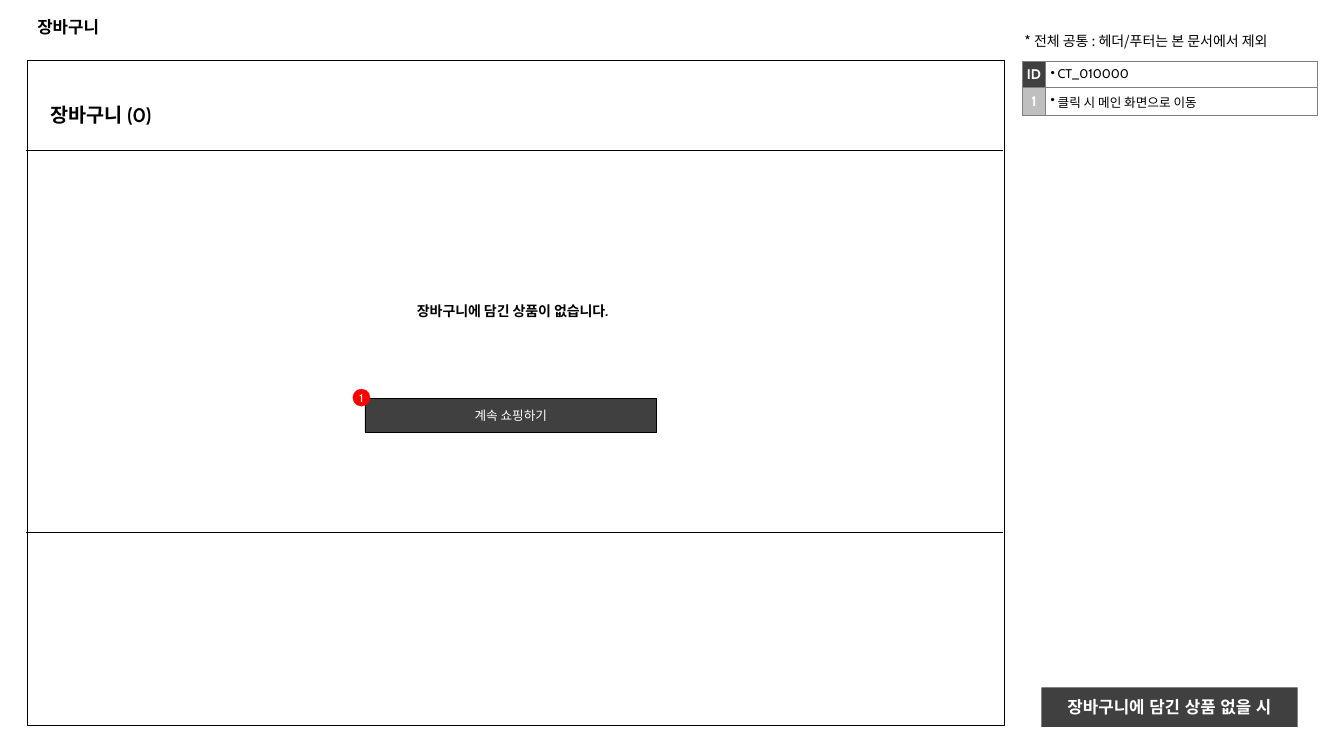
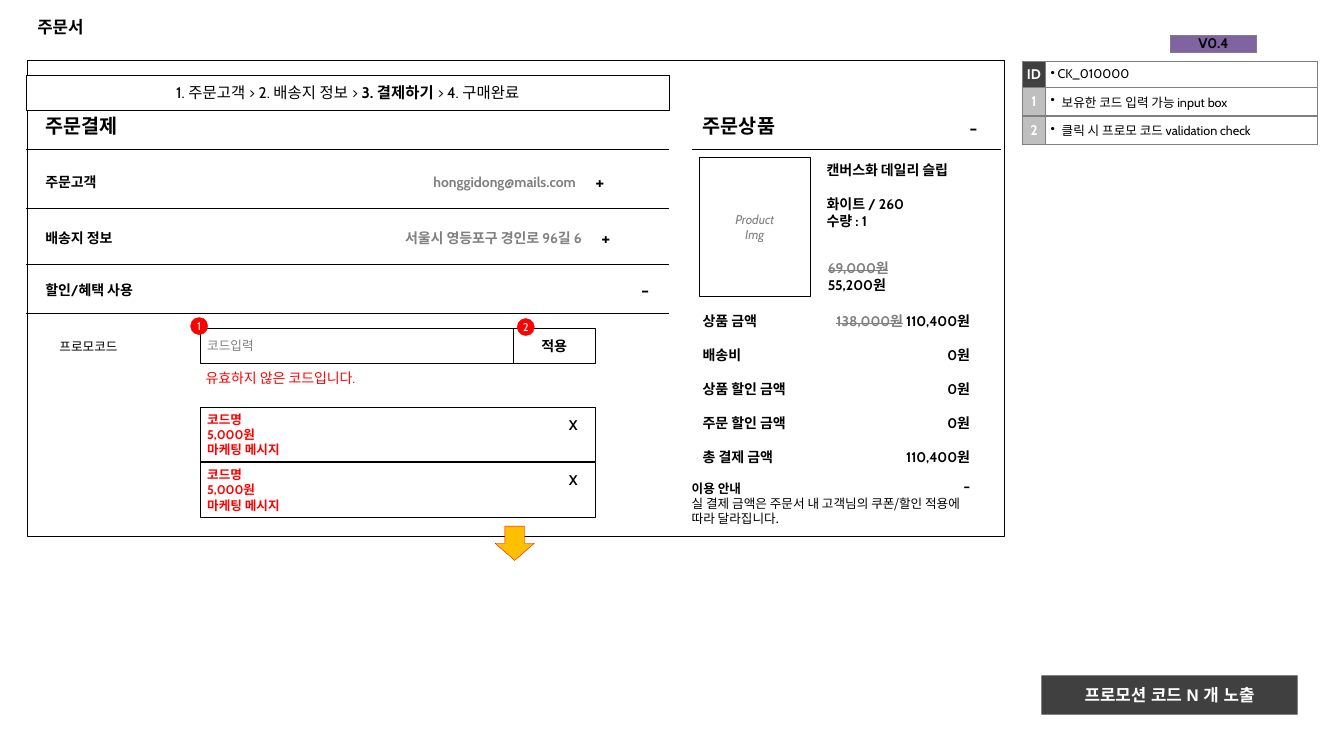
from lxml import etree
from pptx import Presentation
from pptx.dml.color import RGBColor
from pptx.enum.shapes import MSO_CONNECTOR, MSO_SHAPE
from pptx.enum.text import MSO_ANCHOR, PP_ALIGN
from pptx.oxml.ns import qn
from pptx.util import Inches, Pt

# Shared look; every length is counted in square grid cells of a tenth of an inch
COLUMNS, ROWS = 133.3, 75
BLACK, WHITE, RED, GREY = "000000", "FFFFFF", "FF0000", "808080"
DARK, PALE, BORDER = "404040", "BFBFBF", "7F7F7F"
PURPLE, AMBER = "8064A2", "FFC000"
CABIN, NOTO, ARIAL = "Cabin", "Noto Sans CJK KR", "Arial"
LINE_PITCH = 1.21
LEFT, CENTER = PP_ALIGN.LEFT, PP_ALIGN.CENTER
TOP, MIDDLE = MSO_ANCHOR.TOP, MSO_ANCHOR.MIDDLE


def cells(count):
    return Inches(count / 10)


def grid(*counts):
    return [cells(count) for count in counts]


def color(value):
    return RGBColor.from_string(value)


# Text
def style_span(span, size, ink, bold, font, asian=None, italic=False, strike=False):
    span.font.size = Pt(size)
    span.font.bold = bold
    span.font.italic = italic
    span.font.color.rgb = color(ink)
    span.font.name = font
    properties = span._r.get_or_add_rPr()
    latin = properties.find(qn("a:latin"))
    east = etree.Element(qn("a:ea"), typeface=asian or font)
    latin.addnext(east)
    if strike:
        properties.set("strike", "sngStrike")


def write(frame, content, size=10, ink=BLACK, bold=False, align=LEFT, font=CABIN, **more):
    """content: a string, or a list of paragraphs, each a string or (text, changes) spans."""
    base = dict(size=size, ink=ink, bold=bold, font=font, **more)
    lines = [content] if isinstance(content, str) else content
    for index, line in enumerate(lines):
        para = frame.paragraphs[0] if index == 0 else frame.add_paragraph()
        para.alignment = align
        for text, changes in [(line, {})] if isinstance(line, str) else line:
            span = para.add_run()
            span.text = text
            style_span(span, **{**base, **changes})


def fill_frame(shape, content, anchor=MIDDLE, inset=0.4, size=10, **look):
    frame = shape.text_frame
    frame.word_wrap = True
    frame.vertical_anchor = anchor
    frame.margin_left = frame.margin_right = cells(inset)
    frame.margin_top = frame.margin_bottom = 0
    write(frame, content, size=size, **look)
    for para in frame.paragraphs:
        para.line_spacing = Pt(size * LINE_PITCH)
    return frame


def label(page, place, content, **look):
    return fill_frame(page.shapes.add_textbox(*grid(*place)), content, **look)


# Shapes and lines
def block(page, place, content=None, fill=None, line=BLACK, width=0.25,
          kind=MSO_SHAPE.RECTANGLE, **look):
    shape = page.shapes.add_shape(kind, *grid(*place))
    shape.shadow.inherit = False
    if fill:
        shape.fill.solid()
        shape.fill.fore_color.rgb = color(fill)
    else:
        shape.fill.background()
    if line:
        shape.line.color.rgb = color(line)
        shape.line.width = Pt(width)
    else:
        shape.line.fill.background()
    if content:
        fill_frame(shape, content, **look)


def divider(page, left, right, top):
    line = page.shapes.add_connector(MSO_CONNECTOR.STRAIGHT, *grid(left, top, right, top))
    line.line.color.rgb = color(BLACK)
    line.line.width = Pt(0.75)
    etree.SubElement(line._element.spPr, qn("a:effectLst"))


def badge(page, left, top, number):
    block(page, (left, top, 1.7, 1.7), number, fill=RED, line=RED, kind=MSO_SHAPE.OVAL,
          inset=0, size=8, ink=WHITE, align=CENTER)


# Tables
def add_grid(page, left, top, widths, heights):
    place = grid(left, top, sum(widths), sum(heights))
    table = page.shapes.add_table(len(heights), len(widths), *place).table
    table.first_row = table.horz_banding = False
    for column, width in zip(table.columns, widths):
        column.width = cells(width)
    for row, height in zip(table.rows, heights):
        row.height = cells(height)
    return table


def fill_cell(cell, text, fill=None, inset=0, anchor=MIDDLE, **look):
    cell.margin_left = cell.margin_right = cell.margin_top = cell.margin_bottom = cells(inset)
    cell.vertical_anchor = anchor
    if fill:
        cell.fill.solid()
        cell.fill.fore_color.rgb = color(fill)
    else:
        cell.fill.background()
    properties = cell._tc.get_or_add_tcPr()
    for index, side in enumerate(("lnL", "lnR", "lnT", "lnB")):
        edge = etree.Element(qn("a:" + side), w=str(Pt(1)))
        paint = etree.SubElement(edge, qn("a:solidFill"))
        etree.SubElement(paint, qn("a:srgbClr"), val=BORDER)
        properties.insert(index, edge)
    write(cell.text_frame, text, asian=NOTO, **look)


def add_bullet(para, indent):
    properties = para._p.get_or_add_pPr()
    properties.set("marL", str(cells(indent)))
    properties.set("indent", str(-cells(indent)))
    etree.SubElement(properties, qn("a:buChar"), char="•")


def add_notes_table(page, screen_id, notes, indent):
    rows = [("ID", screen_id)] + [(str(n), note) for n, note in enumerate(notes, 1)]
    table = add_grid(page, 10.14 * 10, 6.1, (2.3, 27), [2.6] + [2.8] * len(notes))
    for index, (key, text) in enumerate(rows):
        fill_cell(table.cell(index, 0), key, fill=PALE if index else DARK,
                  ink=WHITE, bold=True, align=CENTER)
        cell = table.cell(index, 1)
        fill_cell(cell, text, inset=0.5, anchor=TOP, size=9)
        add_bullet(cell.text_frame.paragraphs[0], indent if index else 0.7)


# Parts found on every page
def new_page(deck, title, frame_height, state, state_top):
    page = deck.slides.add_slide(deck.slide_layouts[5])
    box = page.shapes.title
    box.left, box.top, box.width, box.height = grid(2.7, 0.7, 127.9, 3.9)
    box.text_frame.vertical_anchor = MIDDLE
    write(box.text_frame, title, size=12, bold=True, font=ARIAL)
    block(page, (2.7, 6, 96.9, frame_height), width=0.75)
    block(page, (103.3, state_top, 25.4, 3.9), state, fill=DARK, line=None,
          size=12, ink=WHITE, bold=True, align=CENTER, font=ARIAL)
    return page


def build_cart(deck):
    page = new_page(deck, "장바구니", 66, "장바구니에 담긴 상품 없을 시", 68.2)
    label(page, (101.2, 2.7, 31, 2.7), "* 전체 공통 : 헤더/푸터는 본 문서에서 제외", font=NOTO)
    add_notes_table(page, "CT_010000", ["클릭 시 메인 화면으로 이동"], 0.7)

    # Empty cart
    label(page, (2.6, 9, 14.8, 4.7), "장바구니 (0)", size=14, bold=True, align=CENTER)
    for top in (14.9, 52.8):
        divider(page, 2.6, 99.5, top)
    label(page, (36.7, 29.6, 28.3, 2.5), "장바구니에 담긴 상품이 없습니다.",
          bold=True, align=CENTER)
    block(page, (36.2, 39.5, 28.9, 3.4), "계속 쇼핑하기", fill=DARK,
          size=9, ink=WHITE, align=CENTER)
    badge(page, 35, 38.6, "1")


def add_payment(page):
    # Steps and section headings
    block(page, (2.6, 7.5, 63.8, 3.4),
          [[("1. 주문고객 > 2. 배송지 정보 > ", {}), ("3. 결제하기 ", {"bold": True}),
            ("> 4. 구매완료", {})]], fill=WHITE, size=11, align=CENTER)
    label(page, (4.1, 10.1, 14.8, 4.7), "주문결제", size=14, bold=True)
    for top in (14.8, 20.7, 26.2, 31.1):
        divider(page, 2.6, 66.4, top)
    sections = [
        ("주문고객", "honggidong@mails.com", 57.1, "+", 59.5, 18.05),
        ("배송지 정보", "서울시 영등포구 경인로 96길 6", 57.7, "+", 60.1, 23.6),
        ("할인/혜택 사용", None, 0, "-", 64, 28.75),
    ]
    for name, value, value_end, sign, sign_middle, middle in sections:
        label(page, (4.1, middle - 1.25, 20, 2.5), name, bold=True)
        if value:
            label(page, (value_end - 29.6, middle - 1.25, 30, 2.5), value,
                  ink=GREY, bold=True, align=PP_ALIGN.RIGHT)
        label(page, (sign_middle - 2, middle - 1.6, 4, 3.2), sign,
              size=14, bold=True, align=CENTER)

    # Promotion code entry
    label(page, (5.5, 33.1, 13, 2.5), "프로모코드", size=9, font=NOTO)
    block(page, (19.9, 32.6, 31, 3.4), "코드입력", size=9, ink=GREY, inset=0.65)
    block(page, (50.9, 32.6, 8.1, 3.4), "적용", bold=True, align=CENTER)
    badge(page, 18.9, 31.5, "1")
    badge(page, 51.3, 31.6, "2")
    label(page, (20, 36.2, 26.6, 2.5), "유효하지 않은 코드입니다.", ink=RED)

    # Applied codes
    for top in (40.4, 45.9):
        block(page, (19.9, top, 39.1, 5.4), ["코드명", "5,000원", "마케팅 메시지"],
              size=9, ink=RED, bold=True, inset=0.65)
        label(page, (54.3, top + 0.5, 5.1, 2.5), "X", bold=True, align=CENTER)
    block(page, (49.1, 52.2, 3.9, 3.4), fill=AMBER, line=RED, kind=MSO_SHAPE.DOWN_ARROW)


def add_order_summary(page):
    # Product
    label(page, (69.3, 10.1, 24.4, 4.7), "주문상품", size=14, bold=True)
    label(page, (94.6, 11.1, 3.9, 3.2), "-", size=14, bold=True, align=CENTER)
    divider(page, 68.6, 99.3, 14.8)
    block(page, (69.3, 15.6, 11.1, 13.8), ["Product", "Img"],
          size=9, ink=GREY, align=CENTER, italic=True)
    details = label(page, (81.6, 16, 18.6, 6.7),
                    ["캔버스화 데일리 슬립", "화이트 / 260", "수량 : 1"],
                    anchor=TOP, bold=True)
    details.paragraphs[1].space_before = Pt(12.1)
    old_price = {"ink": GREY, "strike": True}
    label(page, (81.7, 25.7, 12, 3.4), [[("69,000원", old_price)], "55,200원"],
          anchor=TOP, bold=True)

    # Amounts, set against a right tab
    amounts = label(page, (69.3, 31, 29.4, 15.1), [
        [("상품 금액\t", {}), ("138,000원", old_price), (" 110,400원", {})],
        "배송비\t0원", "상품 할인 금액\t0원", "주문 할인 금액\t0원", "총 결제 금액\t110,400원",
    ], anchor=TOP, bold=True)
    for index, para in enumerate(amounts.paragraphs):
        if index:
            para.space_before = Pt(12.1)
        tabs = etree.SubElement(para._p.get_or_add_pPr(), qn("a:tabLst"))
        etree.SubElement(tabs, qn("a:tab"), pos=str(cells(26.5)), algn="r")

    # Notice
    label(page, (68.2, 47.7, 29.9, 4.6),
          [[("이용 안내", {"bold": True})],
           "실 결제 금액은 주문서 내 고객님의 쿠폰/할인 적용에 따라 달라집니다."],
          anchor=TOP, size=9, font=NOTO)
    label(page, (94.6, 46.7, 2.6, 3), "-", size=12, bold=True, align=CENTER)


def build_order(deck):
    page = new_page(deck, "주문서", 47.2, "프로모션 코드 N 개 노출", 67)
    notes = ["보유한 코드 입력 가능 input box", "클릭 시 프로모 코드 validation check"]
    add_notes_table(page, "CK_010000", notes, 1.1)
    version = add_grid(page, 116.1, 3.5, [8.5], [1.7])
    fill_cell(version.cell(0, 0), "V0.4", fill=PURPLE, bold=True, align=CENTER)
    add_payment(page)
    add_order_summary(page)


def main():
    deck = Presentation()
    deck.slide_width, deck.slide_height = grid(COLUMNS, ROWS)
    build_cart(deck)
    build_order(deck)
    deck.save("out.pptx")


if __name__ == "__main__":
    main()
